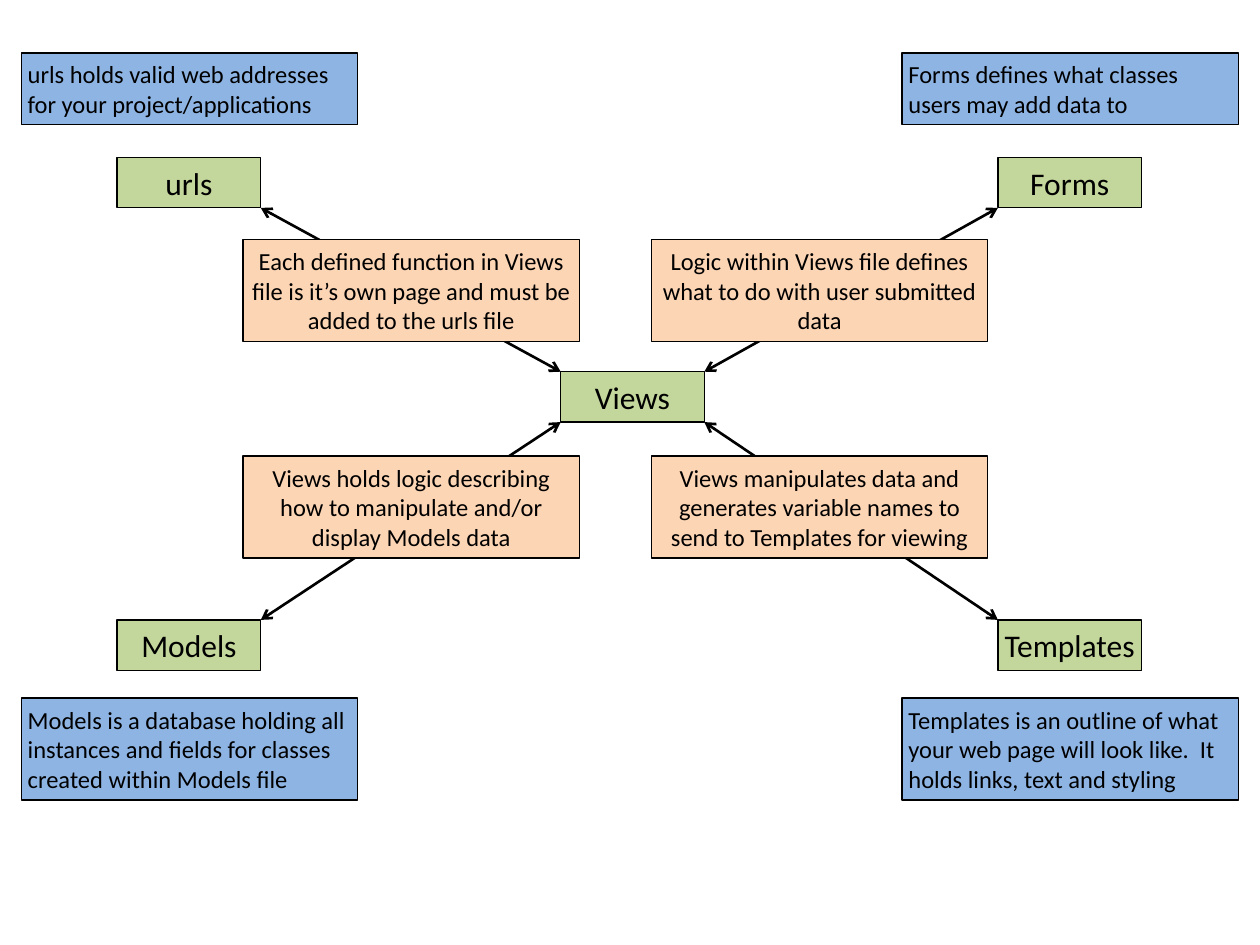
import dataclasses

import pptx
import pptx.dml.color
import pptx.enum.shapes
import pptx.enum.text
import pptx.oxml.ns
import pptx.util
from lxml import etree

Inches = pptx.util.Inches
Align = pptx.enum.text.PP_ALIGN


@dataclasses.dataclass(frozen=True)
class Theme:
    font: str = "Calibri"
    ink: str = "000000"
    component: str = "C3D69B"
    relation: str = "FCD5B5"
    description: str = "8EB4E3"
    title_size: int = 18
    note_size: int = 14
    border: float = 0.75
    arrow: float = 1.5
    inset: float = 0.05


class Diagram:
    def __init__(self, slide, theme):
        self.slide = slide
        self.theme = theme

    def box(self, text, left, top, width, height, fill, size, align, wrap=True):
        rect = pptx.enum.shapes.MSO_SHAPE.RECTANGLE
        shape = self.slide.shapes.add_shape(
            rect, Inches(left), Inches(top), Inches(width), Inches(height))
        shape.shadow.inherit = False
        shape.fill.solid()
        shape.fill.fore_color.rgb = pptx.dml.color.RGBColor.from_string(fill)
        self.stroke(shape.line, self.theme.border)

        frame = shape.text_frame
        frame.word_wrap = wrap
        frame.vertical_anchor = pptx.enum.text.MSO_ANCHOR.MIDDLE
        frame.margin_left = frame.margin_right = Inches(self.theme.inset)
        frame.margin_top = frame.margin_bottom = Inches(self.theme.inset)
        if wrap:
            frame.auto_size = pptx.enum.text.MSO_AUTO_SIZE.SHAPE_TO_FIT_TEXT
        paragraph = frame.paragraphs[0]
        paragraph.alignment = align
        run = paragraph.add_run()
        run.text = text
        run.font.name = self.theme.font
        run.font.size = pptx.util.Pt(size)
        run.font.color.rgb = pptx.dml.color.RGBColor.from_string(self.theme.ink)

    def component(self, text, left, top):
        self.box(text, left, top, NODE_W, NODE_H, self.theme.component,
                 self.theme.title_size, Align.CENTER, wrap=False)

    def relation(self, text, left, top):
        self.box(text, left, top, NOTE_W, THREE_LINES, self.theme.relation,
                 self.theme.note_size, Align.CENTER)

    def description(self, text, left, top, height):
        self.box(text, left, top, NOTE_W, height, self.theme.description,
                 self.theme.note_size, Align.LEFT)

    def arrow(self, start, end):
        line = self.slide.shapes.add_connector(
            pptx.enum.shapes.MSO_CONNECTOR.STRAIGHT,
            *(Inches(value) for value in (*start, *end)))
        self.stroke(line.line, self.theme.arrow)
        qn = pptx.oxml.ns.qn
        outline = line.line._get_or_add_ln()
        for tag in ("a:headEnd", "a:tailEnd"):
            etree.SubElement(outline, qn(tag), type="arrow")
        etree.SubElement(line._element.spPr, qn("a:effectLst"))

    def stroke(self, line, width):
        line.fill.solid()
        line.fill.fore_color.rgb = pptx.dml.color.RGBColor.from_string(self.theme.ink)
        line.width = pptx.util.Pt(width)


# Box sizes and the centre of the diagram
NODE_W, NODE_H = 1.14, 0.4
NOTE_W, TWO_LINES, THREE_LINES = 2.67, 0.57, 0.81
VIEWS_LEFT, VIEWS_TOP = 4.45, 2.95

# Columns: component, relation and description lefts, and the facing box edges
LEFT = (0.93, 1.93, 0.17, 0.93 + NODE_W, VIEWS_LEFT)
RIGHT = (7.92, 5.17, 7.16, 7.92, VIEWS_LEFT + NODE_W)
# Rows: component, relation and description tops, description height, facing edges
TOP = (1.25, 1.9, 0.42, TWO_LINES, 1.25 + NODE_H, VIEWS_TOP)
BOTTOM = (4.92, 3.62, 5.54, THREE_LINES, 4.92, VIEWS_TOP + NODE_H)

CORNERS = [
    (LEFT, TOP, "urls",
     "Each defined function in Views file is it’s own page and must be added to the urls file",
     "urls holds valid web addresses for your project/applications"),
    (RIGHT, TOP, "Forms",
     "Logic within Views file defines what to do with user submitted data",
     "Forms defines what classes users may add data to"),
    (LEFT, BOTTOM, "Models",
     "Views holds logic describing how to manipulate and/or display Models data",
     "Models is a database holding all instances and fields for classes created within Models file"),
    (RIGHT, BOTTOM, "Templates",
     "Views manipulates data and generates variable names to send to Templates for viewing",
     "Templates is an outline of what your web page will look like.  It holds links, text and styling"),
]


def main():
    deck = pptx.Presentation()
    deck.slide_width, deck.slide_height = Inches(10), Inches(7.5)
    diagram = Diagram(deck.slides.add_slide(deck.slide_layouts[6]), Theme())

    # Central component
    diagram.component("Views", VIEWS_LEFT, VIEWS_TOP)

    # Each corner: component, arrow to Views, relation over it, description
    for column, row, name, relation, description in CORNERS:
        node_x, relation_x, description_x, node_edge_x, views_edge_x = column
        node_y, relation_y, description_y, height, node_edge_y, views_edge_y = row
        diagram.component(name, node_x, node_y)
        diagram.arrow((node_edge_x, node_edge_y), (views_edge_x, views_edge_y))
        diagram.relation(relation, relation_x, relation_y)
        diagram.description(description, description_x, description_y, height)

    deck.save("out.pptx")


if __name__ == "__main__":
    main()
